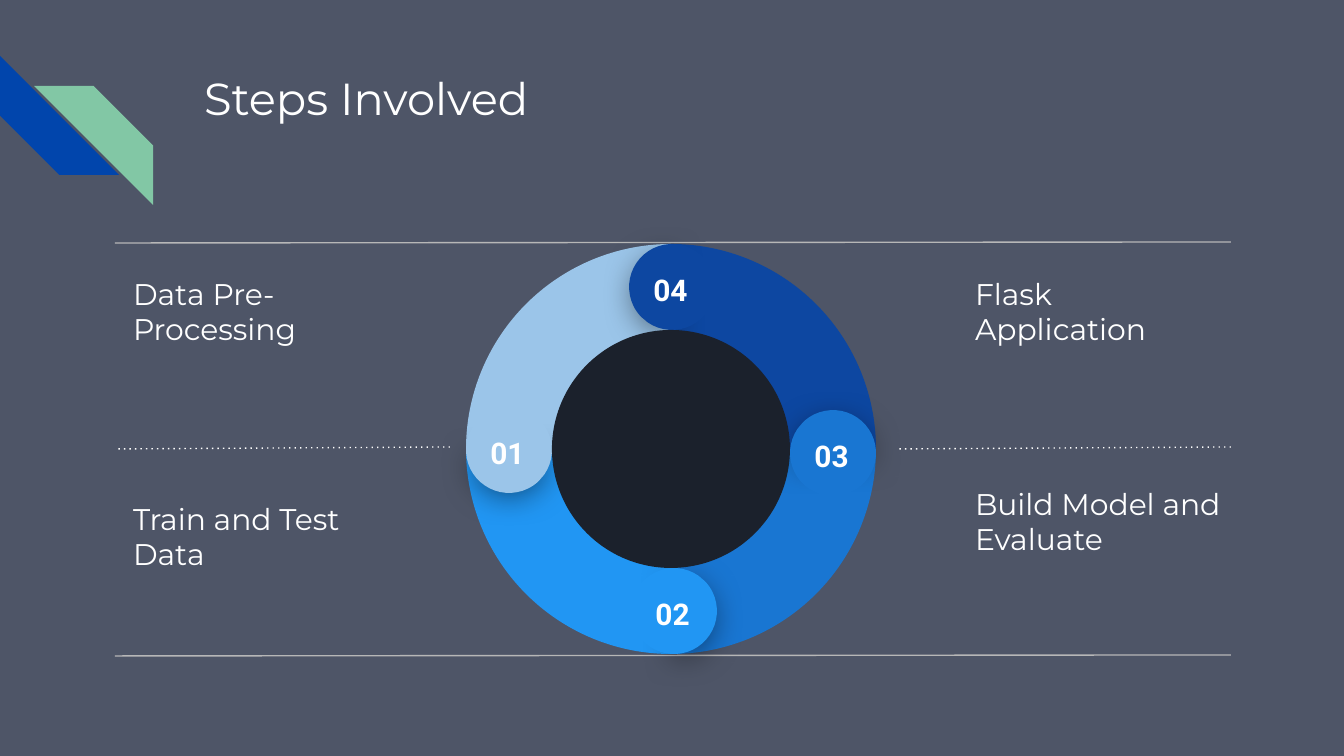
from dataclasses import dataclass

from lxml import etree
from pptx import Presentation
from pptx import util as u
from pptx.dml.color import RGBColor
from pptx.enum import dml, shapes, text as t
from pptx.oxml import ns

SCALE = 914400 / 134.4
WIDTH, HEIGHT = 1344, 756


@dataclass(frozen=True)
class Theme:
    background: str = "4E5567"
    text: str = "FFFFFF"
    rule: str = "B7B7B7"
    hub: str = "1B212C"
    stripe_blue: str = "0145AC"
    stripe_green: str = "82C7A5"
    steps: tuple = ("9BC5E9", "2196F3", "1976D2", "0D47A1")
    font: str = "Montserrat"
    number_font: str = "Roboto"
    title_size: int = 24
    body_size: int = 16
    line_width: float = 0.75
    inset: int = 13


THEME = Theme()


def px(value):
    return u.Emu(round(value * SCALE))


def color(value):
    return RGBColor.from_string(value)


def write_text(frame, content, *, size=THEME.body_size, font=THEME.font, bold=False,
               align=t.PP_ALIGN.LEFT, anchor=t.MSO_ANCHOR.TOP):
    frame.word_wrap = True
    frame.auto_size = t.MSO_AUTO_SIZE.NONE
    frame.vertical_anchor = anchor
    frame.margin_left = frame.margin_right = px(THEME.inset)
    frame.margin_top = frame.margin_bottom = px(THEME.inset)
    paragraph = frame.paragraphs[0]
    paragraph.alignment = align
    run = paragraph.add_run()
    run.text = content
    run.font.size = u.Pt(size)
    run.font.name = font
    run.font.bold = bold
    run.font.color.rgb = color(THEME.text)


class SlideBuilder:
    def __init__(self, slide, theme):
        self.slide = slide
        self.theme = theme
        fill = slide.background.fill
        fill.solid()
        fill.fore_color.rgb = color(theme.background)

    def title(self, content, left, top, width, height):
        shape = self.slide.shapes.title
        shape.left, shape.top = px(left), px(top)
        shape.width, shape.height = px(width), px(height)
        write_text(shape.text_frame, content, size=self.theme.title_size)

    def textbox(self, content, left, top, width, height, **style):
        box = self.slide.shapes.add_textbox(px(left), px(top), px(width), px(height))
        write_text(box.text_frame, content, **style)

    def shape(self, kind, left, top, size, fill, rotation=0, adjustments=()):
        shape = self.slide.shapes.add_shape(kind, px(left), px(top), px(size), px(size))
        shape.shadow.inherit = False
        shape.fill.solid()
        shape.fill.fore_color.rgb = color(fill)
        shape.line.fill.background()
        shape.rotation = rotation
        for index, value in enumerate(adjustments):
            shape.adjustments[index] = value
        return shape

    def line(self, start, end, line_color, dotted=False):
        connector = self.slide.shapes.add_connector(
            shapes.MSO_CONNECTOR.STRAIGHT, *map(px, start + end))
        connector.line.color.rgb = color(line_color)
        connector.line.width = u.Pt(self.theme.line_width)
        properties = connector.element.spPr
        if dotted:
            connector.line.dash_style = dml.MSO_LINE.ROUND_DOT
            properties.find(".//" + ns.qn("a:prstDash")).set("val", "dot")
        etree.SubElement(properties, ns.qn("a:effectLst"))

    def soft_shadow(self, shape):
        effects = shape.element.spPr.find(ns.qn("a:effectLst"))
        shadow = etree.SubElement(
            effects, ns.qn("a:outerShdw"), blurRad=str(u.Pt(18)), dist=str(u.Pt(4)),
            dir="5400000", algn="bl", rotWithShape="0")
        tone = etree.SubElement(shadow, ns.qn("a:srgbClr"), val="000000")
        etree.SubElement(tone, ns.qn("a:alpha"), val="55000")

    def arc(self, step, center, size):
        self.shape(shapes.MSO_SHAPE.PIE, center[0] - size / 2, center[1] - size / 2, size,
                   self.theme.steps[step], -90 * step % 360, (107.96, 162.01))

    def cap(self, step, center):
        x, y = center
        fill = self.theme.steps[step]
        half_disc = self.shape(shapes.MSO_SHAPE.PIE, x - 38, y - 38, 76, fill,
                               (39.5 - 90 * step) % 360, (189.54, 83.81))
        self.soft_shadow(half_disc)
        self.shape(shapes.MSO_SHAPE.CHORD, x - 43, y - 43, 86, fill,
                   (4.1 - 90 * step) % 360, (25.01, 18.12))
        self.textbox(f"{step + 1:02}", x - 39, y - 28, 75, 39, bold=True,
                     font=self.theme.number_font, align=t.PP_ALIGN.CENTER)


def main():
    presentation = Presentation()
    presentation.slide_width, presentation.slide_height = px(WIDTH), px(HEIGHT)
    slide = presentation.slides.add_slide(presentation.slide_layouts[5])
    builder = SlideBuilder(slide, THEME)

    stripe = shapes.MSO_SHAPE.DIAGONAL_STRIPE
    builder.shape(stripe, 0, 56, 119, THEME.stripe_blue, 270, (0.5,))
    builder.shape(stripe, 34, 86, 119, THEME.stripe_green, 90, (0.5,))
    builder.title("Steps Involved", 191, 58, 1035, 134)

    labels = [
        ("Data Pre-Processing", 120, 278),
        ("Train and Test Data", 120, 503),
        ("Flask Application", 962, 278),
        ("Build Model and Evaluate", 962, 488),
    ]
    for content, left, top in labels:
        builder.textbox(content, left, top, 273, 66, anchor=t.MSO_ANCHOR.MIDDLE)

    left, right, dotted_length = 115, 1231, 335
    for y in (242, 655):
        builder.line((right, y), (left, y + 1), THEME.rule)
    for end in (left + dotted_length, right):
        builder.line((end, 447), (end - dotted_length, 449), THEME.text, dotted=True)

    center, ring_size, hub_size = (671, 449), 410, 238
    for step in (0, 3, 2, 1):
        builder.arc(step, center, ring_size)
    for step, cap_center in enumerate([(509, 450), (674, 611), (833, 453), (672, 287)]):
        builder.cap(step, cap_center)
    builder.shape(shapes.MSO_SHAPE.OVAL, center[0] - hub_size / 2, center[1] - hub_size / 2,
                  hub_size, THEME.hub)

    presentation.save("out.pptx")


if __name__ == "__main__":
    main()
